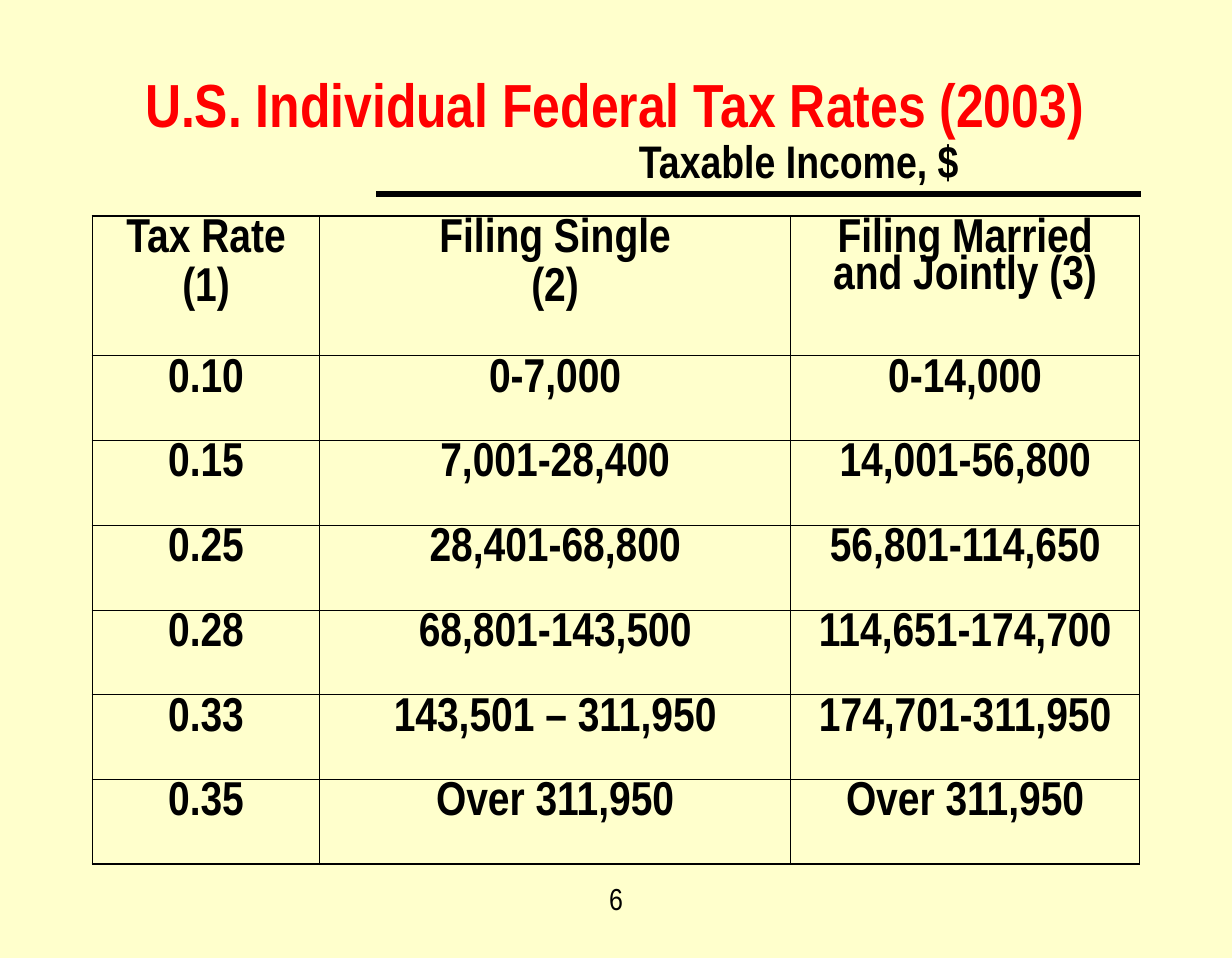
from lxml.etree import SubElement
from pptx import Presentation
from pptx.dml.color import RGBColor
from pptx.enum.shapes import MSO_CONNECTOR
from pptx.enum.text import MSO_ANCHOR, PP_ALIGN
from pptx.oxml.ns import qn
from pptx.util import Pt

FONT, BLACK, RED, CREAM = "Arial Narrow", "000000", "FF0000", "FFFFCC"
TITLE = "U.S. Individual Federal Tax Rates (2003)"
INCOME_HEADING = "Taxable Income, $"
PAGE_NUMBER = "6"
RATES = [
    ("Tax Rate\n(1)", "Filing Single\n(2)", "Filing Married and Jointly (3)"),
    ("0.10", "0-7,000", "0-14,000"),
    ("0.15", "7,001-28,400", "14,001-56,800"),
    ("0.25", "28,401-68,800", "56,801-114,650"),
    ("0.28", "68,801-143,500", "114,651-174,700"),
    ("0.33", "143,501 – 311,950", "174,701-311,950"),
    ("0.35", "Over 311,950", "Over 311,950"),
]
COL_WIDTHS = [119.5, 247.7, 183.6]
ROW_HEIGHTS = [73.4] + [44.6] * (len(RATES) - 1)
LEFT, TABLE_TOP = 48.6, 113.8
OUTER, INNER = 1.08, 0.45


def rgb(value):
    return RGBColor.from_string(value)


def write(tf, text, size, color=BLACK, bold=True):
    tf.text = text
    for p in tf.paragraphs:
        p.alignment = PP_ALIGN.CENTER
        for r in p.runs:
            r.font.name, r.font.size, r.font.bold = FONT, Pt(size), bold
            r.font.color.rgb = rgb(color)


def add_text(box, text, size, bold):
    tf = slide.shapes.add_textbox(*map(Pt, box)).text_frame
    tf.word_wrap = True
    write(tf, text, size, bold=bold)


def set_borders(cell, widths):
    tc_pr = cell._tc.get_or_add_tcPr()
    for i, (side, width) in enumerate(widths.items()):
        ln = tc_pr.makeelement(qn(f"a:ln{side}"), {"w": str(Pt(width))})
        fill = SubElement(ln, qn("a:solidFill"))
        SubElement(fill, qn("a:srgbClr"), val=BLACK)
        tc_pr.insert(i, ln)


prs = Presentation()
prs.slide_width, prs.slide_height = Pt(648), Pt(504)
slide = prs.slides.add_slide(prs.slide_layouts[5])
slide.background.fill.solid()
slide.background.fill.fore_color.rgb = rgb(CREAM)

title = slide.shapes.title
title.left, title.top, title.width, title.height = map(Pt, (48.2, 12.2, 550.8, 84.2))
title.text_frame.vertical_anchor = MSO_ANCHOR.MIDDLE
write(title.text_frame, TITLE, 32, RED)

frame = slide.shapes.add_table(
    len(RATES), len(COL_WIDTHS), Pt(LEFT), Pt(TABLE_TOP),
    Pt(sum(COL_WIDTHS)), Pt(sum(ROW_HEIGHTS)))
table = frame.table
table.first_row = table.horz_banding = False
for column, width in zip(table.columns, COL_WIDTHS):
    column.width = Pt(width)
for row, height in zip(table.rows, ROW_HEIGHTS):
    row.height = Pt(height)

last_row, last_col = len(RATES) - 1, len(COL_WIDTHS) - 1
for i, values in enumerate(RATES):
    for j, value in enumerate(values):
        cell = table.cell(i, j)
        cell.fill.background()
        write(cell.text_frame, value, 25)
        for k, p in enumerate(cell.text_frame.paragraphs):
            p.line_spacing = 0.83
            if k:
                p.space_before = Pt(6.2)
        set_borders(cell, {
            "L": OUTER if j == 0 else INNER,
            "R": OUTER if j == last_col else INNER,
            "T": OUTER if i == 0 else INNER,
            "B": OUTER if i == last_row else INNER,
        })

add_text((264.2, 66.2, 311.8, 36), INCOME_HEADING, 24, True)

rule = slide.shapes.add_connector(
    MSO_CONNECTOR.STRAIGHT, Pt(198), Pt(102), Pt(600), Pt(102))
rule.line.color.rgb = rgb(BLACK)
rule.line.width = Pt(3)
SubElement(rule._element.spPr, qn("a:effectLst"))

add_text((280.8, 459.4, 86.4, 33.8), PAGE_NUMBER, 16, False)

prs.save("out.pptx")
